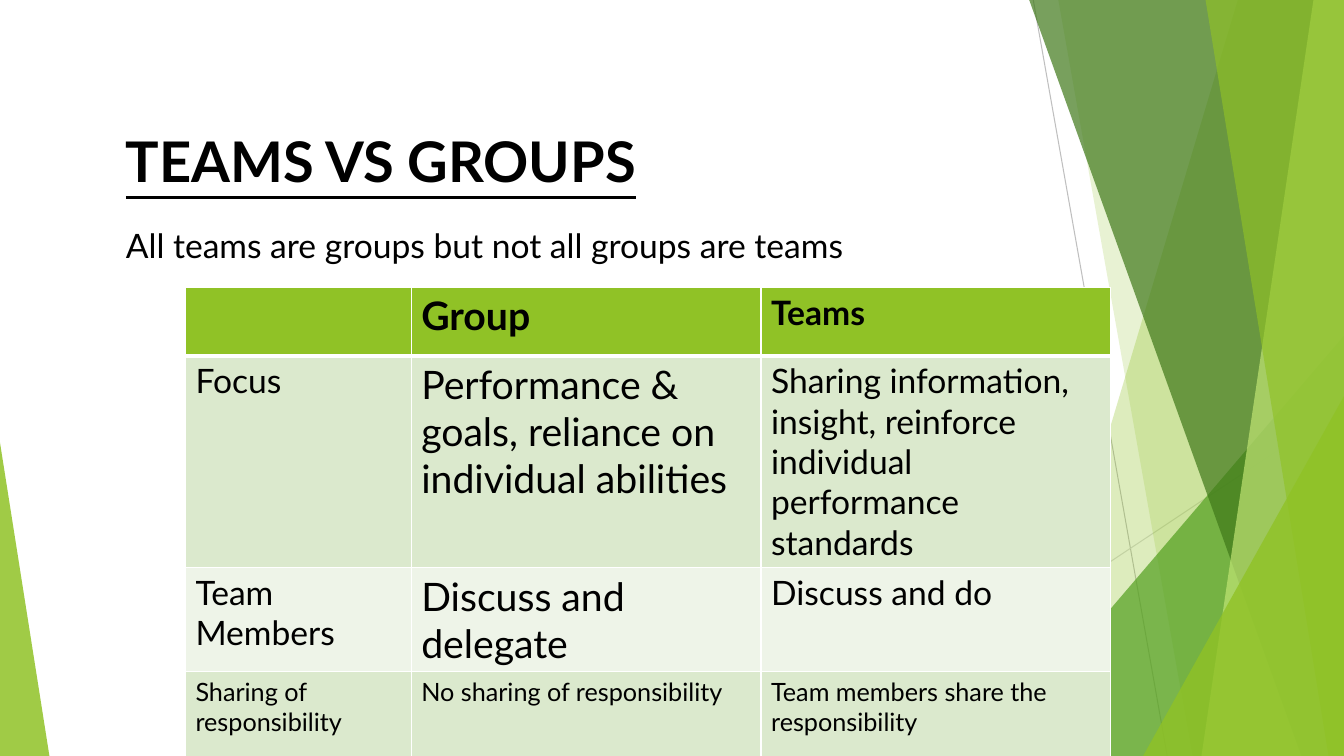
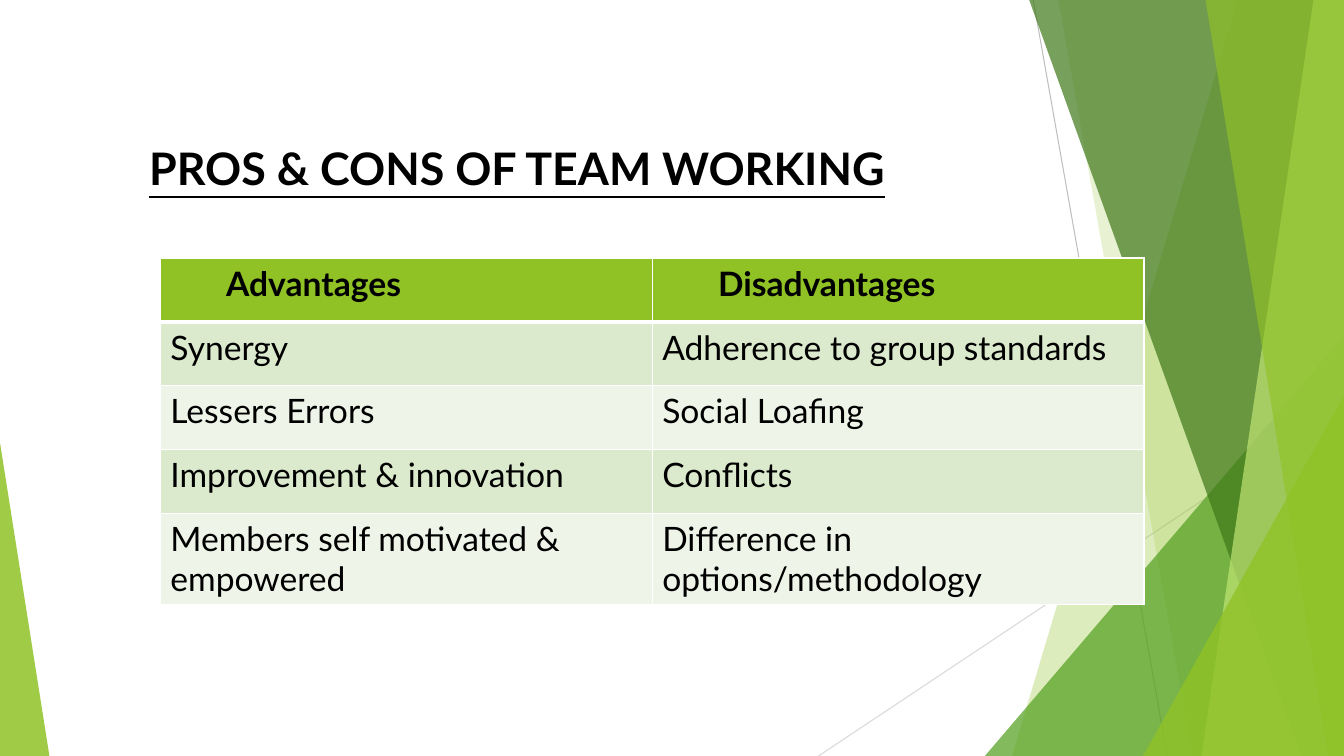
"""Build two slides on team working: teams versus groups, and pros and cons."""
from lxml.etree import SubElement
from pptx import Presentation
from pptx.dml.color import RGBColor
from pptx.enum.shapes import MSO_CONNECTOR, MSO_SHAPE
from pptx.oxml.ns import qn
from pptx.util import Inches, Pt

WIDTH, HEIGHT = Inches(13.333), Inches(7.5)
FONT = "Lato"
COLORS = {
    "text": "000000",
    "border": "FFFFFF",
    "lime": "90C226",
    "pale_lime": "C0E474",
    "green": "54A021",
    "dark_green": "3F7819",
    "gray": "BFBFBF",
    "light_gray": "D9D9D9",
    "odd_row": "DBE9CD",
    "even_row": "EEF4E8",
}


def rgb(name):
    """Return the named colour."""
    return RGBColor.from_string(COLORS[name])


def across(share):
    """Turn a percentage of the slide width into a length."""
    return int(WIDTH * share / 100)


def down(share):
    """Turn a percentage of the slide height into a length."""
    return int(HEIGHT * share / 100)


def box(left, top, width, height):
    """Turn four slide percentages into a position and size."""
    return across(left), down(top), across(width), down(height)


def paint(sp, color, opacity):
    """Give a shape a translucent fill without line or shadow."""
    sp.shadow.inherit = False
    sp.line.fill.background()
    sp.fill.solid()
    sp.fill.fore_color.rgb = rgb(color)
    clr = sp.element.spPr.find(f"{qn('a:solidFill')}/{qn('a:srgbClr')}")
    SubElement(clr, qn("a:alpha"), val=str(opacity * 1000))


def add_line(s, start, end, color):
    """Draw a thin straight line between two points."""
    ln = s.shapes.add_connector(
        MSO_CONNECTOR.STRAIGHT,
        across(start[0]), down(start[1]), across(end[0]), down(end[1]))
    ln.line.color.rgb = rgb(color)
    ln.line.width = Pt(0.75)
    SubElement(ln.element.spPr, qn("a:effectLst"))


def add_band(s, top_x, bottom_x, color, opacity):
    """Draw a slanted full-height band that reaches the right edge."""
    fb = s.shapes.build_freeform(across(top_x), 0)
    fb.add_line_segments(
        [(WIDTH, 0), (WIDTH, HEIGHT), (across(bottom_x), HEIGHT)], close=True)
    paint(fb.convert_to_shape(), color, opacity)


def add_corner(s, left, right, top, apex, color, opacity):
    """Draw a right-angled triangle that stands on the bottom edge."""
    sp = s.shapes.add_shape(
        MSO_SHAPE.ISOSCELES_TRIANGLE, *box(left, top, right - left, 100 - top))
    sp.adjustments[0] = apex
    paint(sp, color, opacity)


def add_backdrop(s):
    """Draw the faceted decoration that every slide shares."""
    add_line(s, (76.88, 0), (86.85, 100), "gray")
    add_line(s, (100, 53.73), (60.9, 100), "light_gray")
    add_band(s, 92.1, 75.3, "lime", 30)
    add_band(s, 78.75, 88.73, "lime", 20)
    add_corner(s, 73.28, 100, 44.4, 1, "green", 72)
    add_band(s, 76.58, 96.83, "dark_green", 70)
    add_band(s, 97.73, 89.4, "pale_lime", 70)
    add_band(s, 89.7, 98.85, "lime", 65)
    add_corner(s, 85.05, 100, 52.4, 1, "lime", 80)
    add_corner(s, 0, 3.68, 58.53, 0, "lime", 85)


def style(p, size, bold=False, underline=False):
    """Format every run of a paragraph."""
    for r in p.runs:
        r.font.name = FONT
        r.font.size = Pt(size)
        r.font.bold = bold
        r.font.underline = underline
        r.font.color.rgb = rgb("text")


def add_title(s, place, size, title, subtitle=None):
    """Add an underlined title and an optional line below it."""
    tf = s.shapes.add_textbox(*box(*place)).text_frame
    tf.word_wrap = True
    tf.text = title
    style(tf.paragraphs[0], size, bold=True, underline=True)
    if subtitle:
        p = tf.add_paragraph()
        p.text = subtitle
        p.space_before = Pt(22)
        style(p, 24)


def set_borders(cell, top, bottom):
    """Draw the four borders of a cell, with widths in points."""
    tc_pr = cell._tc.get_or_add_tcPr()
    for side, width in (("L", 1), ("R", 1), ("T", top), ("B", bottom)):
        ln = SubElement(tc_pr, qn(f"a:ln{side}"), w=str(Pt(width)))
        fill = SubElement(ln, qn("a:solidFill"))
        SubElement(fill, qn("a:srgbClr"), val=COLORS["border"])


def add_grid(s, left, top, cols, rows, texts, sizes, header_inset=None):
    """Add a table with a lime header and alternating row fills."""
    place = box(left, top, sum(cols), sum(rows))
    table = s.shapes.add_table(len(rows), len(cols), *place).table
    for col, width in zip(table.columns, cols):
        col.width = across(width)
    for i, height in enumerate(rows):
        table.rows[i].height = down(height)
        fill = "lime" if i == 0 else "odd_row" if i % 2 else "even_row"
        for j, text in enumerate(texts[i]):
            cell = table.cell(i, j)
            set_borders(cell, 3 if i == 1 else 1, 3 if i == 0 else 1)
            cell.fill.solid()
            cell.fill.fore_color.rgb = rgb(fill)
            if i == 0 and header_inset:
                cell.margin_left = across(header_inset)
            cell.text_frame.text = text
            style(cell.text_frame.paragraphs[0], sizes[i][j], bold=i == 0)


def add_slide(prs):
    """Add a blank slide with the shared backdrop."""
    s = prs.slides.add_slide(prs.slide_layouts[6])
    add_backdrop(s)
    return s


def add_teams_vs_groups(prs):
    """Build the slide that compares groups and teams."""
    s = add_slide(prs)
    add_title(s, (8.63, 16.13, 84.23, 26.93), 40, "TEAMS VS GROUPS",
              "All teams are groups but not all groups are teams")
    texts = [
        ("", "Group", "Teams"),
        ("Focus", "Performance & goals, reliance on individual abilities",
         "Sharing information, insight, reinforce individual performance standards"),
        ("Team Members", "Discuss and delegate", "Discuss and do"),
        ("Sharing of responsibility", "No sharing of responsibility",
         "Team members share the responsibility"),
    ]
    add_grid(s, 13.8, 38, (16.8, 26.03, 26.03), (9.07, 24.67, 13.6, 13.6),
             texts, [(24, 28, 24)] * 3 + [(18, 18, 18)])


def add_pros_and_cons(prs):
    """Build the slide that lists advantages and disadvantages."""
    s = add_slide(prs)
    add_title(s, (10.35, 18, 79.73, 19.33), 32, "PROS & CONS OF TEAM WORKING")
    texts = [
        ("Advantages", "Disadvantages"),
        ("Synergy", "Adherence to group standards"),
        ("Lessers Errors", "Social Loafing"),
        ("Improvement & innovation", "Conflicts"),
        ("Members self motivated & empowered",
         "Difference in options/methodology"),
    ]
    add_grid(s, 11.93, 34.13, [36.6] * 2, [8.45] * 5, texts, [(24, 24)] * 5,
             header_inset=4.9)


def main():
    """Build and save the presentation."""
    prs = Presentation()
    prs.slide_width, prs.slide_height = WIDTH, HEIGHT
    add_teams_vs_groups(prs)
    add_pros_and_cons(prs)
    prs.save("out.pptx")


if __name__ == "__main__":
    main()
